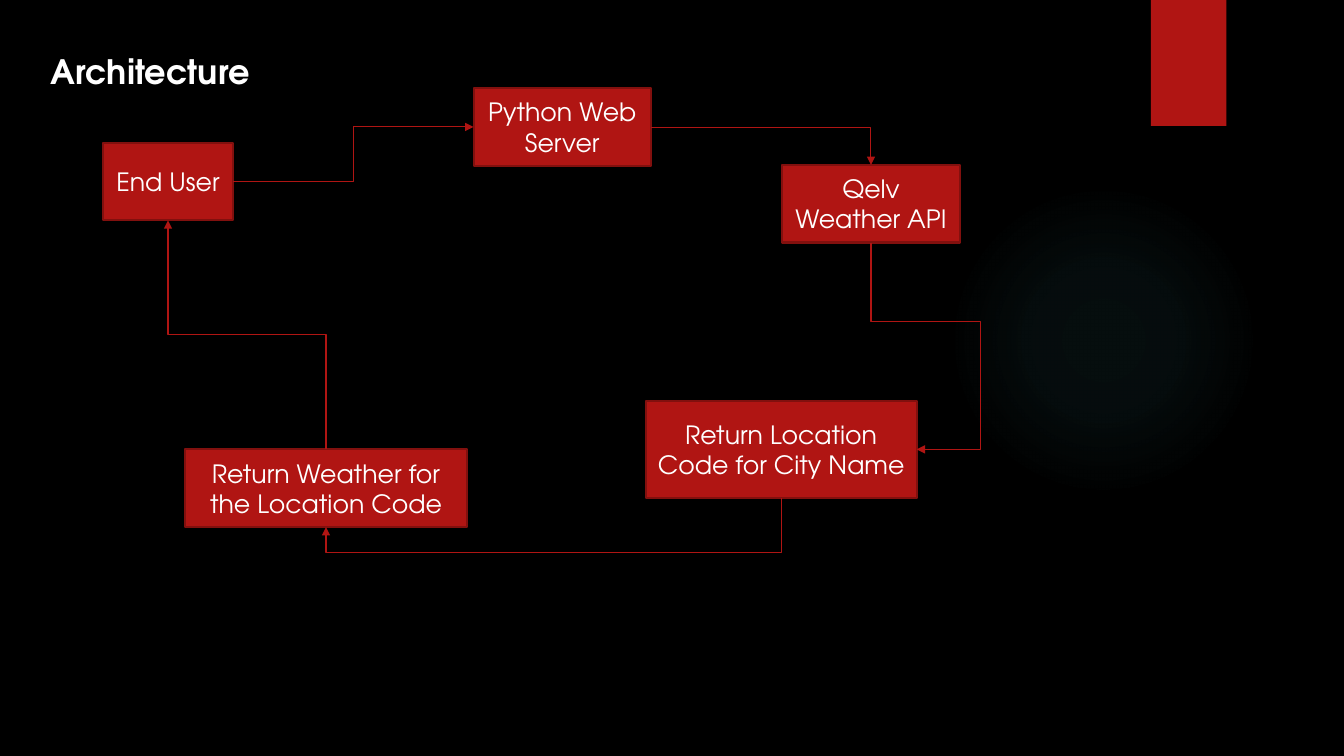
from dataclasses import dataclass

from lxml import etree
from pptx import Presentation
from pptx import util as u
from pptx.dml.color import RGBColor
from pptx.enum import shapes, text
from pptx.oxml import ns, parse_xml

PX = 9525  # EMU in one px, 96 px to the inch
FONT = "TeX Gyre Adventor"
BLACK = RGBColor(0x00, 0x00, 0x00)
WHITE = RGBColor(0xFF, 0xFF, 0xFF)
RED = RGBColor(0xB0, 0x15, 0x13)
DARK_RED = RGBColor(0x82, 0x10, 0x0E)
TEAL = RGBColor(0x50, 0xB9, 0xC1)
TOP, LEFT, BOTTOM, RIGHT = range(4)


@dataclass(frozen=True)
class Box:
    label: str
    x: int
    y: int
    w: int
    h: int

    def site(self, side: int) -> tuple[float, float]:
        """Middle of one side."""
        mid_x, mid_y = self.x + self.w / 2, self.y + self.h / 2
        return [(mid_x, self.y), (self.x, mid_y),
                (mid_x, self.y + self.h), (self.x + self.w, mid_y)][side]


@dataclass(frozen=True)
class Link:
    start: str
    start_side: int
    end: str
    end_side: int
    bends: int
    turn: int = 0
    flip: str = ""
    adjust: tuple[int, ...] = ()


BOXES = {
    "user": Box("End User", 98, 136, 124, 74),
    "location": Box("Return Location Code for City Name", 615, 382, 258, 92),
    "server": Box("Python Web Server", 451, 84, 169, 74),
    "weather": Box("Return Weather for the Location Code", 176, 428, 269, 74),
    "api": Box("Qelv Weather API", 745, 157, 169, 74),
}
LINKS = [
    Link("user", RIGHT, "server", LEFT, 3, flip="flipV"),
    Link("server", RIGHT, "api", TOP, 2),
    Link("api", BOTTOM, "location", RIGHT, 4, 270, "flipH", (38400, 240800)),
    Link("location", BOTTOM, "weather", BOTTOM, 3, 90, adjust=(185800,)),
    Link("weather", TOP, "user", BOTTOM, 3, 270, "flipV"),
]


def place(shape, x: float, y: float, w: float, h: float) -> None:
    for name, value in dict(left=x, top=y, width=w, height=h).items():
        setattr(shape, name, round(value * PX))


def format_font(font, size: int, bold: bool = False) -> None:
    for name, value in dict(name=FONT, size=u.Pt(size), bold=bold).items():
        setattr(font, name, value)
    font.color.rgb = WHITE


def add_preset(slide, kind, x: int, y: int, w: int, h: int):
    sp = slide.shapes.add_shape(kind, 0, 0, 0, 0)
    place(sp, x, y, w, h)
    sp.shadow.inherit = False
    sp.fill.solid()
    sp.fill.fore_color.rgb = RED
    sp.line.fill.background()
    return sp


def add_glow(slide) -> None:
    sp = add_preset(slide, shapes.MSO_SHAPE.OVAL, 903, 176, 296, 296)
    stops = "".join(
        f'<a:gs pos="{pos}000"><a:srgbClr val="{TEAL}">'
        f'<a:alpha val="{alpha}000"/></a:srgbClr></a:gs>'
        for pos, alpha in ((0, 7), (36, 6), (69, 0)))
    gradient = parse_xml(
        f'<a:gradFill {ns.nsdecls("a")} rotWithShape="1"><a:gsLst>{stops}</a:gsLst>'
        '<a:path path="circle"><a:fillToRect l="50000" t="50000" r="50000" b="50000"/>'
        '</a:path></a:gradFill>')
    sp_pr = sp._element.spPr
    sp_pr.replace(sp_pr.find(ns.qn("a:solidFill")), gradient)


def add_title(slide, label: str) -> None:
    title = slide.shapes.title
    place(title, 48, 48, 1135, 33)
    slide.shapes._spTree.append(title._element)  # in front of the decoration
    tf = title.text_frame
    frame = dict(margin_left=0, margin_top=0, margin_right=0, margin_bottom=0,
                 word_wrap=True, auto_size=text.MSO_AUTO_SIZE.NONE,
                 vertical_anchor=text.MSO_ANCHOR.TOP)
    for name, value in frame.items():
        setattr(tf, name, value)
    p = tf.paragraphs[0]
    p.alignment = text.PP_ALIGN.LEFT
    r = p.add_run()
    r.text = label
    format_font(r.font, 24, bold=True)


def add_box(slide, box: Box):
    sp = add_preset(slide, shapes.MSO_SHAPE.RECTANGLE, box.x, box.y, box.w, box.h)
    sp.line.color.rgb = DARK_RED
    sp.line.width = u.Pt(1.5)
    tf = sp.text_frame
    tf.word_wrap = True
    tf.vertical_anchor = text.MSO_ANCHOR.MIDDLE
    p = tf.paragraphs[0]
    p.alignment = text.PP_ALIGN.CENTER
    r = p.add_run()
    r.text = box.label
    format_font(r.font, 18)
    return sp


def add_link(slide, link: Link, drawn: dict) -> None:
    cxn = slide.shapes.add_connector(shapes.MSO_CONNECTOR.ELBOW, 0, 0, 0, 0)
    cxn.begin_connect(drawn[link.start], link.start_side)
    cxn.end_connect(drawn[link.end], link.end_side)

    # A quarter turn swaps width and height around the same centre
    x1, y1 = BOXES[link.start].site(link.start_side)
    x2, y2 = BOXES[link.end].site(link.end_side)
    w, h = abs(x2 - x1), abs(y2 - y1)
    if link.turn in (90, 270):
        w, h = h, w
    place(cxn, (x1 + x2 - w) / 2, (y1 + y2 - h) / 2, w, h)
    cxn.rotation = link.turn

    sp_pr = cxn._element.spPr
    xfrm = sp_pr.find(ns.qn("a:xfrm"))
    for name in ("flipH", "flipV"):
        xfrm.set(name, str(int(name == link.flip)))

    # Bends
    geom = sp_pr.find(ns.qn("a:prstGeom"))
    geom.set("prst", f"bentConnector{link.bends}")
    guides = geom.find(ns.qn("a:avLst"))
    for i, value in enumerate(link.adjust, 1):
        etree.SubElement(guides, ns.qn("a:gd"), name=f"adj{i}", fmla=f"val {value}")

    # Line and arrowhead
    cxn.line.color.rgb = RED
    cxn.line.width = u.Pt(0.75)
    etree.SubElement(sp_pr.find(ns.qn("a:ln")), ns.qn("a:tailEnd"), type="triangle")
    etree.SubElement(sp_pr, ns.qn("a:effectLst"))


def main() -> None:
    prs = Presentation()
    prs.slide_width, prs.slide_height = 1280 * PX, 720 * PX
    slide = prs.slides.add_slide(prs.slide_layouts[5])
    slide.background.fill.solid()
    slide.background.fill.fore_color.rgb = BLACK

    # Decoration and title
    add_glow(slide)
    add_preset(slide, shapes.MSO_SHAPE.RECTANGLE, 1096, 0, 72, 120)
    add_title(slide, "Architecture")

    # Flow diagram
    drawn = {key: add_box(slide, box) for key, box in BOXES.items()}
    for link in LINKS:
        add_link(slide, link, drawn)
    prs.save("out.pptx")


if __name__ == "__main__":
    main()
